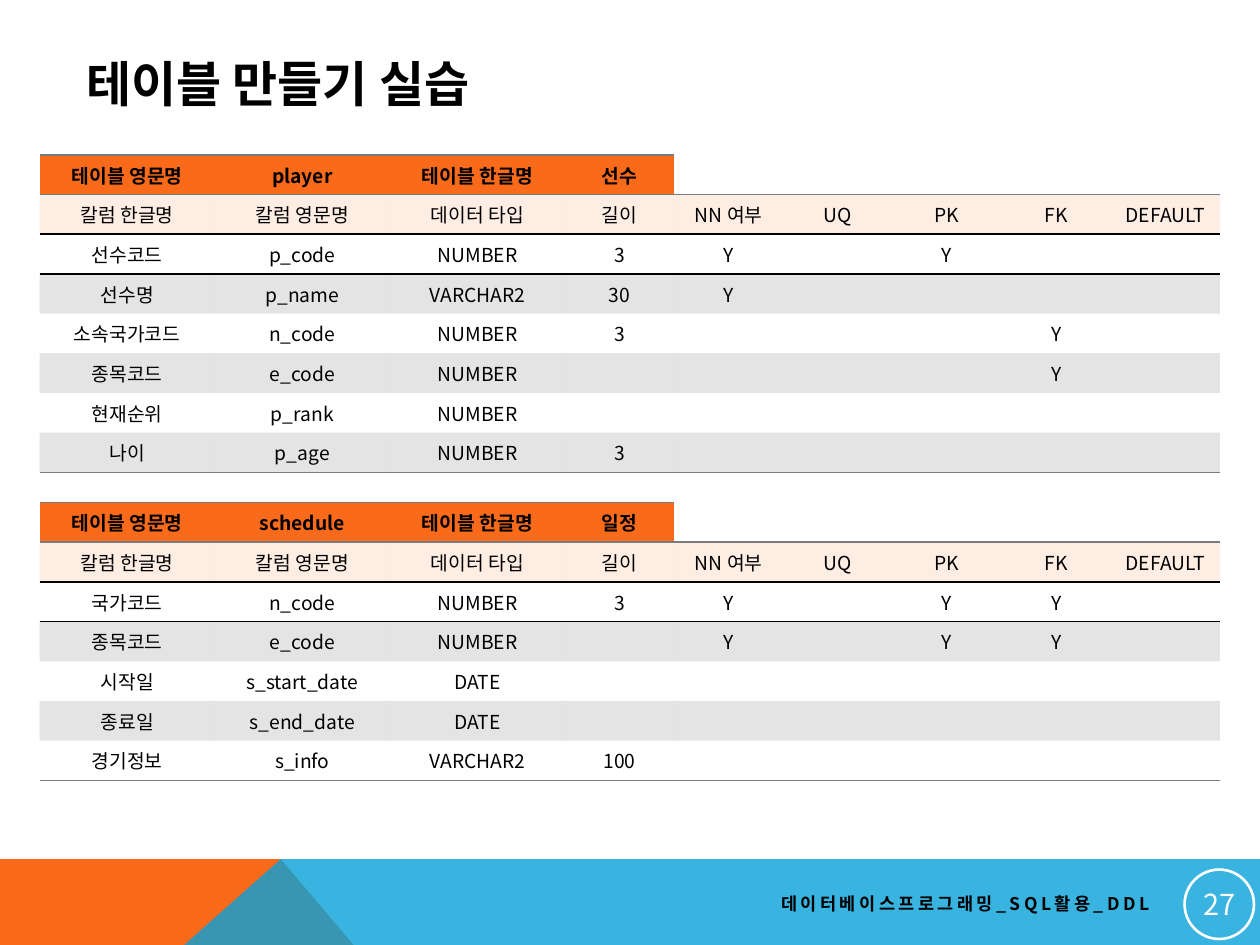
"""Build the table-making practice slide with two column definition tables."""
from dataclasses import dataclass
from typing import Any

from lxml.etree import SubElement
from pptx import Presentation
from pptx.dml.color import RGBColor
from pptx.enum.shapes import MSO_SHAPE
from pptx.enum.text import MSO_ANCHOR, PP_ALIGN
from pptx.oxml.ns import qn
from pptx.util import Cm, Pt

COLORS = {
    "orange": "F96A1B", "blue": "08A1D9", "peach": "FBA676",
    "gray": "797B7E", "black": "000000", "white": "FFFFFF",
}
FONT = "Noto Sans CJK KR"
PLAIN_STYLE = "{2D5ABB26-0587-4C30-8999-92F81FD0307C}"
COLUMN_WIDTHS = [3.53] * 3 + [2.2] * 6
ROW_HEIGHT = 0.8
NAME_CELLS = 4
HEADINGS = "칼럼 한글명|칼럼 영문명|데이터 타입|길이|NN 여부|UQ|PK|FK|DEFAULT"
CELL_FORMAT = {
    "vertical_anchor": MSO_ANCHOR.MIDDLE,
    "margin_left": Cm(0.18), "margin_right": Cm(0.18),
    "margin_top": Cm(0.05), "margin_bottom": Cm(0.05),
}
BADGE_FORMAT = {
    "vertical_anchor": MSO_ANCHOR.MIDDLE, "word_wrap": False,
    "margin_left": Cm(0.03), "margin_right": Cm(0.03),
    "margin_top": Cm(0.03), "margin_bottom": Cm(0.03),
}
LABEL_FORMAT = {"vertical_anchor": MSO_ANCHOR.MIDDLE, "word_wrap": True}


@dataclass(frozen=True)
class Definition:
    top: float
    english: str
    korean: str
    columns: tuple[str, ...]


@dataclass(frozen=True)
class Band:
    points: tuple[tuple[float, float], ...]
    color: str
    opacity: int = 100


@dataclass(frozen=True)
class Label:
    box: tuple[float, float, float, float]
    text: str
    size: float
    align: PP_ALIGN
    spacing: int = 0


BANDS = (
    Band(((0, 22.35), (0, 17.32), (5.66, 17.32), (9.93, 22.35)), "orange"),
    Band(((0, 22.35), (5.66, 17.32), (25.4, 17.32), (25.4, 22.35)), "blue", 80),
)
LABELS = (
    Label((1.5, 0.91, 20.88, 1.52), "테이블 만들기 실습", 28, PP_ALIGN.LEFT),
    Label((9.09, 17.83, 14.33, 0.76), "데이터베이스프로그래밍_SQL활용_DDL", 10, PP_ALIGN.RIGHT, 200),
)
DEFINITIONS = (
    Definition(3.12, "player", "선수", (
        "선수코드|p_code|NUMBER|3|Y||Y||",
        "선수명|p_name|VARCHAR2|30|Y||||",
        "소속국가코드|n_code|NUMBER|3||||Y|",
        "종목코드|e_code|NUMBER|||||Y|",
        "현재순위|p_rank|NUMBER||||||",
        "나이|p_age|NUMBER|3|||||",
    )),
    Definition(10.13, "schedule", "일정", (
        "국가코드|n_code|NUMBER|3|Y||Y|Y|",
        "종목코드|e_code|NUMBER||Y||Y|Y|",
        "시작일|s_start_date|DATE||||||",
        "종료일|s_end_date|DATE||||||",
        "경기정보|s_info|VARCHAR2|100|||||",
    )),
)


def apply_format(target: Any, values: dict[str, Any]) -> None:
    """Set every attribute named in values."""
    for name, value in values.items():
        setattr(target, name, value)


def paint(fill: Any, properties: Any, color: str, opacity: int = 100) -> None:
    """Give a solid fill with an opacity in percent."""
    fill.solid()
    fill.fore_color.rgb = RGBColor.from_string(COLORS[color])
    if opacity < 100:
        tint = properties.find(f"{qn('a:solidFill')}/{qn('a:srgbClr')}")
        SubElement(tint, qn("a:alpha"), val=str(opacity * 1000))


def write(paragraph: Any, text: str, size: float, align: PP_ALIGN,
          bold: bool = False, color: str = "black", spacing: int = 0) -> None:
    """Write one run in the slide font."""
    paragraph.alignment = align
    if not text:
        SubElement(paragraph._p, qn("a:endParaRPr"), sz=str(int(size * 100)))
        return
    run = paragraph.add_run()
    run.text = text
    apply_format(run.font, {"name": FONT, "size": Pt(size), "bold": bold})
    run.font.color.rgb = RGBColor.from_string(COLORS[color])
    properties = run._r.get_or_add_rPr()
    SubElement(properties, qn("a:ea"), typeface=FONT)
    if spacing:
        properties.set("spc", str(spacing))


def draw_border(cell: Any, side: str, color: str) -> None:
    """Rule one side of a cell."""
    rule = SubElement(cell._tc.get_or_add_tcPr(), qn(f"a:ln{side}"), w=str(Pt(1)))
    SubElement(SubElement(rule, qn("a:solidFill")), qn("a:srgbClr"), val=COLORS[color])


def draw_band(shapes: Any, band: Band) -> None:
    """Draw one part of the footer band."""
    first, *others = [(Cm(x), Cm(y)) for x, y in band.points]
    builder = shapes.build_freeform(*first, scale=1.0)
    builder.add_line_segments(others, close=True)
    area = builder.convert_to_shape()
    area.shadow.inherit = False
    area.line.fill.background()
    paint(area.fill, area._element.spPr, band.color, band.opacity)


def draw_label(shapes: Any, label: Label) -> None:
    """Draw a bold line of text."""
    frame = shapes.add_textbox(*map(Cm, label.box)).text_frame
    apply_format(frame, LABEL_FORMAT)
    write(frame.paragraphs[0], label.text, label.size, label.align, True, spacing=label.spacing)


def draw_page_number(shapes: Any, number: str) -> None:
    """Draw the page number in a ring."""
    ring = shapes.add_shape(MSO_SHAPE.OVAL, Cm(23.88), Cm(17.53), Cm(1.4), Cm(1.4))
    ring.shadow.inherit = False
    ring.fill.background()
    ring.line.color.rgb = RGBColor.from_string(COLORS["white"])
    ring.line.width = Pt(1.5)
    apply_format(ring.text_frame, BADGE_FORMAT)
    write(ring.text_frame.paragraphs[0], number, 16.5, PP_ALIGN.CENTER, color="white")


def style_cell(cell: Any, row: int, column: int, last_row: int) -> None:
    """Rule and fill a cell by its place in the table."""
    named = row == 0 and column < NAME_CELLS
    if named:
        draw_border(cell, "T", "gray")
    elif row == 2:
        draw_border(cell, "T", "black")
    if row in (0, last_row):
        draw_border(cell, "B", "gray")
    elif row in (1, 2):
        draw_border(cell, "B", "black")
    if named:
        paint(cell.fill, cell._tc.tcPr, "orange")
    elif row == 1:
        paint(cell.fill, cell._tc.tcPr, "peach", 20)
    elif row > 1 and row % 2:
        paint(cell.fill, cell._tc.tcPr, "gray", 20)
    else:
        cell.fill.background()


def draw_definition(shapes: Any, definition: Definition) -> None:
    """Draw the table that defines one database table."""
    names = f"테이블 영문명|{definition.english}|테이블 한글명|{definition.korean}|||||"
    rows = [line.split("|") for line in (names, HEADINGS, *definition.columns)]
    table = shapes.add_table(
        len(rows), len(COLUMN_WIDTHS), Cm(0.8), Cm(definition.top),
        Cm(sum(COLUMN_WIDTHS)), Cm(ROW_HEIGHT * len(rows))).table
    apply_format(table, {"first_row": False, "horz_banding": False})
    table._tbl.tblPr.find(qn("a:tableStyleId")).text = PLAIN_STYLE
    for column, width in zip(table.columns, COLUMN_WIDTHS):
        column.width = Cm(width)
    for row, texts in enumerate(rows):
        table.rows[row].height = Cm(ROW_HEIGHT)
        for column, text in enumerate(texts):
            cell = table.cell(row, column)
            apply_format(cell, CELL_FORMAT)
            style_cell(cell, row, column, len(rows) - 1)
            write(cell.text_frame.paragraphs[0], text, 11, PP_ALIGN.CENTER, row == 0)


def main() -> None:
    """Build and save the slide."""
    deck = Presentation()
    apply_format(deck, {"slide_width": Cm(25.4), "slide_height": Cm(19.05)})
    shapes = deck.slides.add_slide(deck.slide_layouts[6]).shapes
    for band in BANDS:
        draw_band(shapes, band)
    for label in LABELS:
        draw_label(shapes, label)
    draw_page_number(shapes, "27")
    for definition in DEFINITIONS:
        draw_definition(shapes, definition)
    deck.save("out.pptx")


main()
